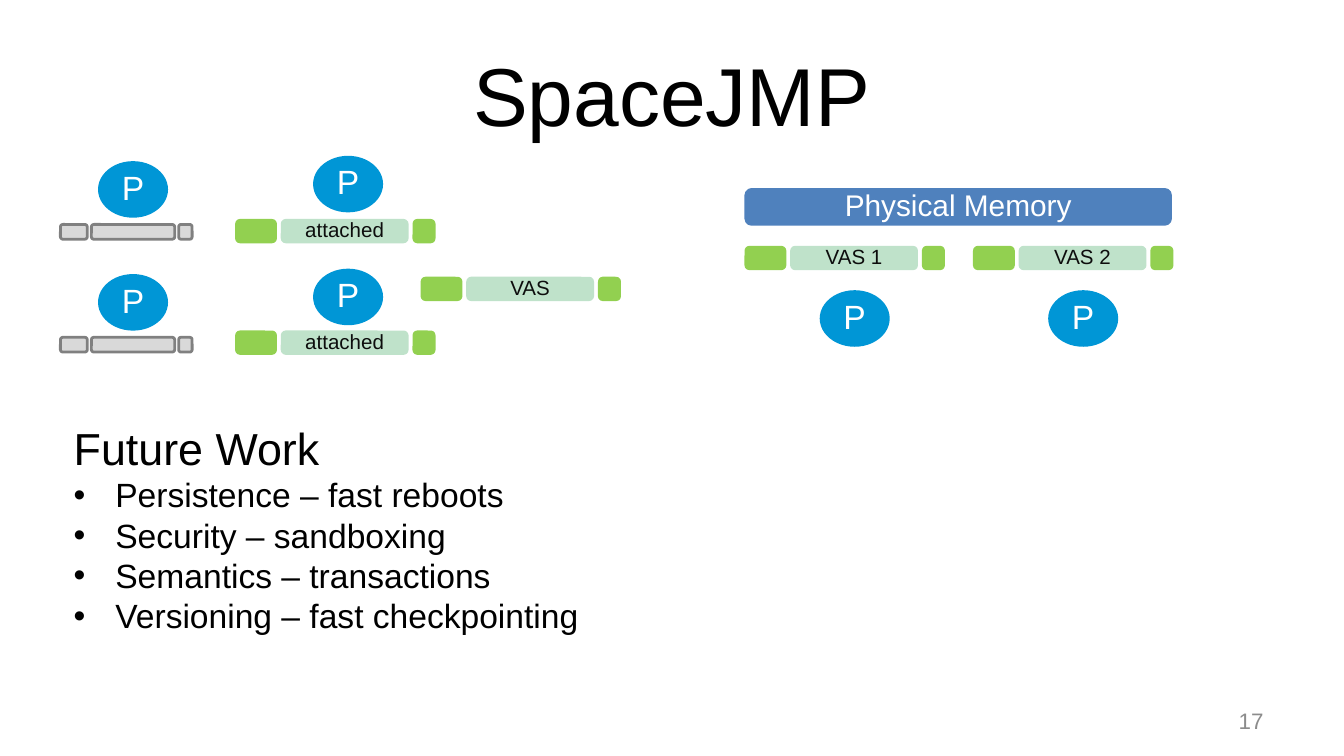
from pptx import Presentation
from pptx import util as u
from pptx.dml.color import RGBColor
from pptx.enum import shapes, text
from pptx.oxml import parse_xml
from pptx.oxml.ns import nsdecls

COLORS = {
    "black": "000000", "white": "FFFFFF", "label": "0D0D0D", "number": "8C8C8C",
    "process": "0096D6", "memory": "4F81BD", "edge": "92D050", "segment": "BFE2CA",
    "private": "D9D9D9", "private_line": "808080",
}
LEFT, CENTER, RIGHT = text.PP_ALIGN.LEFT, text.PP_ALIGN.CENTER, text.PP_ALIGN.RIGHT
TOP, MIDDLE = text.MSO_ANCHOR.TOP, text.MSO_ANCHOR.MIDDLE
OVAL, ROUNDED = shapes.MSO_SHAPE.OVAL, shapes.MSO_SHAPE.ROUNDED_RECTANGLE


def write(sp, lines, size=18, color="black", align=LEFT, anchor=MIDDLE,
          spacing=None, inset=(0.1, 0.05), bullet_from=None, first_size=None):
    """Fill a shape with paragraphs; those from bullet_from on get a bullet."""
    tf = sp.text_frame
    tf.word_wrap = True
    tf.vertical_anchor = anchor
    tf.margin_left = tf.margin_right = u.Inches(inset[0])
    tf.margin_top = tf.margin_bottom = u.Inches(inset[1])
    for i, line in enumerate(lines.split("\n")):
        p = tf.paragraphs[0] if i == 0 else tf.add_paragraph()
        p.alignment = align
        p.line_spacing = spacing
        r = p.add_run()
        r.text = line
        r.font.name = "Arial"
        r.font.size = u.Pt(first_size if first_size and i == 0 else size)
        r.font.color.rgb = RGBColor.from_string(COLORS[color])
        if bullet_from is not None and i >= bullet_from:
            pPr = p._p.get_or_add_pPr()
            pPr.set("marL", str(u.Inches(0.31)))
            pPr.set("indent", str(u.Inches(-0.31)))
            pPr.append(parse_xml(f'<a:buFont {nsdecls("a")} typeface="Arial"/>'))
            pPr.append(parse_xml(f'<a:buChar {nsdecls("a")} char="•"/>'))


def add_block(parent, kind, box, fill, line=None, label=None, size=18, color="white"):
    sp = parent.add_shape(kind, *map(u.Inches, box))
    sp.shadow.inherit = False
    sp.fill.solid()
    sp.fill.fore_color.rgb = RGBColor.from_string(COLORS[fill])
    sp.line.color.rgb = RGBColor.from_string(COLORS[line or fill])
    sp.line.width = u.Pt(1.5)
    if label:
        write(sp, label, size=size, color=color, align=CENTER, spacing=0.9, inset=(0, 0))


prs = Presentation()
prs.slide_width, prs.slide_height = u.Inches(10), u.Inches(10 * 9 / 16)
s = prs.slides.add_slide(prs.slide_layouts[6])

# Title, future work and slide number
future_work = "\n".join([
    "Future Work",
    "Persistence – fast reboots",
    "Security – sandboxing",
    "Semantics – transactions",
    "Versioning – fast checkpointing",
])
for box, words, style in [
    ((0.5, 0.23, 9, 0.94), "SpaceJMP", dict(size=44, align=CENTER)),
    ((0.45, 3.08, 4.71, 1.72), future_work,
     dict(first_size=24, anchor=TOP, bullet_from=1)),
    ((7.17, 5.21, 2.33, 0.3), "17", dict(size=12, color="number", align=RIGHT)),
]:
    write(s.shapes.add_textbox(*map(u.Inches, box)), words, **style)

add_block(s.shapes, ROUNDED, (5.55, 1.41, 3.16, 0.26), "memory",
          label="Physical Memory", size=16)

# Virtual address spaces: a labelled segment between two edges
for x, y, label in [(5.55, 1.84, "VAS 1"), (7.25, 1.84, "VAS 2"), (3.14, 2.07, "VAS"),
                    (1.76, 1.64, "attached"), (1.76, 2.47, "attached")]:
    group = s.shapes.add_group_shape().shapes
    for dx, w, fill, words in [(0, 0.29, "edge", None), (0.34, 0.93, "segment", label),
                               (1.32, 0.15, "edge", None)]:
        add_block(group, ROUNDED, (x + dx, y, w, 0.16), fill,
                  label=words, size=11, color="label")

# Private address spaces of the processes on the left
for y in (1.67, 2.51):
    group = s.shapes.add_group_shape().shapes
    for x, w in [(0.45, 0.2), (0.68, 0.62), (1.33, 0.1)]:
        add_block(group, ROUNDED, (x, y, w, 0.11), "private", line="private_line")

# Processes
for x, y in [(0.74, 1.21), (0.74, 2.05), (2.34, 1.17), (2.34, 2.01),
             (6.11, 2.17), (7.81, 2.17)]:
    add_block(s.shapes, OVAL, (x, y, 0.5, 0.4), "process", label="P")

prs.save("out.pptx")
